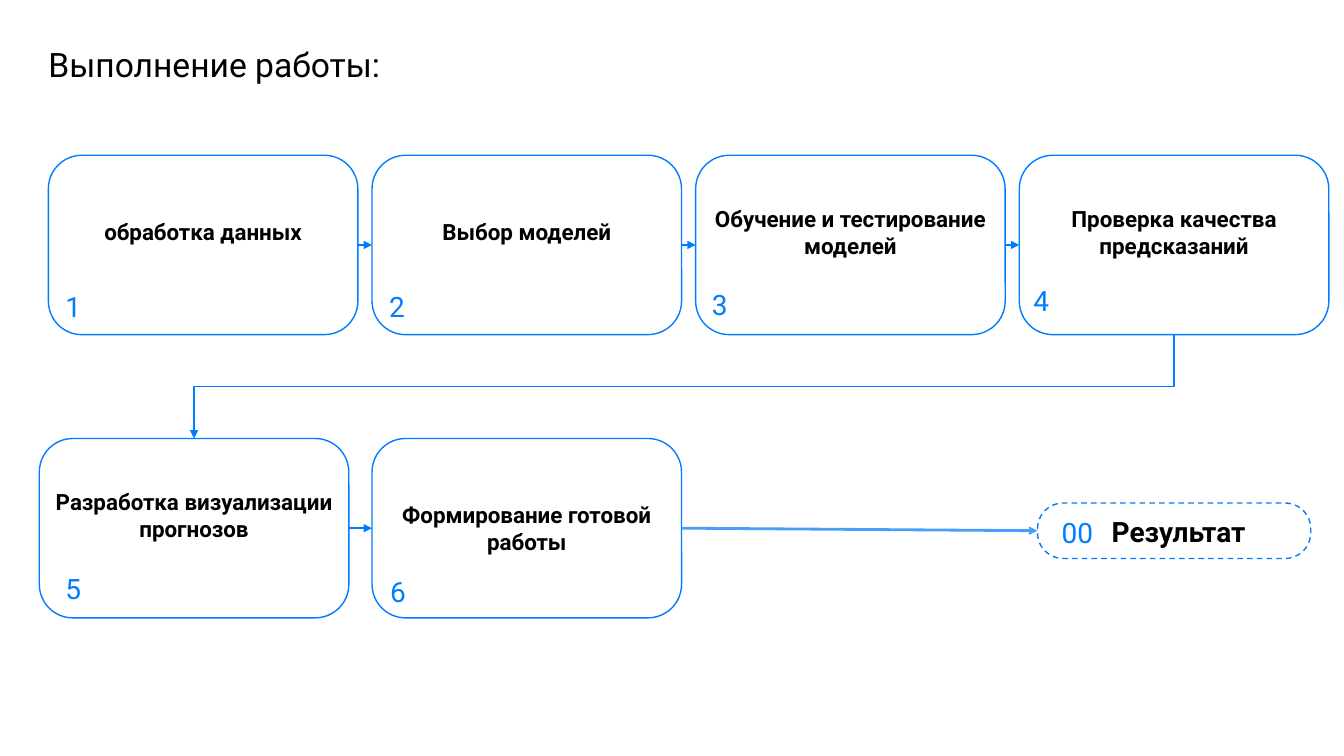
from lxml import etree
from pptx import Presentation
from pptx.dml.color import RGBColor
from pptx.enum.dml import MSO_LINE
from pptx.enum.shapes import MSO_CONNECTOR, MSO_SHAPE
from pptx.enum.text import MSO_ANCHOR, MSO_AUTO_SIZE, PP_ALIGN
from pptx.oxml.ns import qn
from pptx.util import Inches, Pt

BLUE = RGBColor(0x00, 0x7D, 0xFF)
LIGHT_BLUE = RGBColor(0x49, 0x9E, 0xFA)
BLACK = RGBColor(0, 0, 0)
WHITE = RGBColor(0xFF, 0xFF, 0xFF)
ROUNDED = MSO_SHAPE.ROUNDED_RECTANGLE
STRAIGHT, ELBOW = MSO_CONNECTOR.STRAIGHT, MSO_CONNECTOR.ELBOW
TOP, MIDDLE, BOTTOM = MSO_ANCHOR.TOP, MSO_ANCHOR.MIDDLE, MSO_ANCHOR.BOTTOM
LEFT, CENTER = PP_ALIGN.LEFT, PP_ALIGN.CENTER
GROW, DASH = MSO_AUTO_SIZE.SHAPE_TO_FIT_TEXT, MSO_LINE.DASH
TOP_SIDE, LEFT_SIDE, BOTTOM_SIDE, RIGHT_SIDE = range(4)

STEP_W, STEP_H = 3.07, 1.78
COLUMN_X, COLUMN_PITCH = 0.48, 3.21
ROW_1_Y, ROW_2_Y = 1.54, 4.35
LINE_16PT = 0.26

TITLE_FONT = {"size": Pt(24), "name": "Roboto"}
STEP_FONT = {"size": Pt(16), "name": "Roboto", "bold": True}
NUMBER_FONT = {"size": Pt(20), "name": "Roboto"}
RESULT_FONT = {"size": Pt(20), "name": "Roboto", "bold": True}

# Label, left, top, number offset (x, y) inside the box, space kept below the label
STEPS = [
    ("обработка данных", COLUMN_X, ROW_1_Y, 0.17, 1.33, LINE_16PT),
    ("Выбор моделей", COLUMN_X + COLUMN_PITCH, ROW_1_Y, 0.17, 1.33, LINE_16PT),
    ("Обучение и тестирование моделей", COLUMN_X + 2 * COLUMN_PITCH, ROW_1_Y,
     0.16, 1.31, LINE_16PT),
    ("Проверка качества предсказаний", COLUMN_X + 3 * COLUMN_PITCH, ROW_1_Y,
     0.14, 1.27, LINE_16PT),
    ("Разработка визуализации прогнозов", 0.39, ROW_2_Y, 0.26, 1.32, LINE_16PT),
    ("Формирование готовой работы", COLUMN_X + COLUMN_PITCH, ROW_2_Y, 0.18, 1.35, 0),
]


def write(shape, text, font, color, align=LEFT, anchor=TOP, bottom=0, spacing=None):
    frame = shape.text_frame
    layout = {"word_wrap": True, "vertical_anchor": anchor, "margin_left": 0,
              "margin_top": 0, "margin_right": 0, "margin_bottom": Inches(bottom)}
    for name, value in layout.items():
        setattr(frame, name, value)
    paragraph = frame.paragraphs[0]
    paragraph.alignment = align
    if spacing:
        paragraph.line_spacing = spacing
    run = paragraph.add_run()
    run.text = text
    for name, value in font.items():
        setattr(run.font, name, value)
    run.font.color.rgb = color


def add_label(slide, box, text, font, color, grow=True, **layout):
    label = slide.shapes.add_textbox(*map(Inches, box))
    write(label, text, font, color, **layout)
    if grow:
        label.text_frame.auto_size = GROW


def add_frame(slide, box, rounding):
    frame = slide.shapes.add_shape(ROUNDED, *map(Inches, box))
    frame.shadow.inherit = False
    frame.adjustments[0] = rounding
    frame.fill.solid()
    frame.fill.fore_color.rgb = WHITE
    frame.line.color.rgb = BLUE
    frame.line.width = Pt(1)
    return frame


def add_step(slide, number, label, left, top, number_x, number_y, bottom):
    step = add_frame(slide, (left, top, STEP_W, STEP_H), 0.187)
    write(step, label, STEP_FONT, BLACK, align=CENTER, anchor=MIDDLE, bottom=bottom)
    add_label(slide, (left + number_x, top + number_y, 0.47, 0.33),
              str(number), NUMBER_FONT, BLUE)
    return step


def add_result(slide, left, top, width, height):
    result = add_frame(slide, (left, top, width, height), 0.463)
    result.line.dash_style = DASH
    add_label(slide, (left + 0.24, top + 0.12, 0.47, 0.33), "00", NUMBER_FONT, BLUE)
    add_label(slide, (left + 0.47, top + 0.15, 1.86, 0.3), "Результат", RESULT_FONT,
              BLACK, align=CENTER, anchor=BOTTOM, spacing=0.9)
    return result


def add_arrow(slide, kind, start, start_side, end, end_side, color=BLUE, width=1):
    arrow = slide.shapes.add_connector(kind, 0, 0, 0, 0)
    arrow.begin_connect(start, start_side)
    arrow.end_connect(end, end_side)
    arrow.line.color.rgb = color
    arrow.line.width = Pt(width)
    properties = arrow._element.spPr
    etree.SubElement(properties.find(qn("a:ln")), qn("a:tailEnd"), type="triangle")
    etree.SubElement(properties, qn("a:effectLst"))
    return arrow


def add_row_break(slide, start, end):
    arrow = add_arrow(slide, ELBOW, start, BOTTOM_SIDE, end, TOP_SIDE)
    # A quarter turn makes the elbow leave downwards
    span, drop = arrow.width, arrow.height
    shift = (span - drop) // 2
    arrow.left, arrow.top = arrow.left + shift, arrow.top - shift
    arrow.width, arrow.height = drop, span
    transform = arrow._element.spPr.xfrm
    transform.flipH = False
    transform.set("rot", str(90 * 60000))


def main():
    deck = Presentation()
    deck.slide_width, deck.slide_height = Inches(13.33), Inches(7.5)
    slide = deck.slides.add_slide(deck.slide_layouts[6])

    # Title
    add_label(slide, (0.48, 0.48, 12.36, 0.71), "Выполнение работы:", TITLE_FONT,
              BLACK, grow=False, spacing=0.9)

    # Result and steps
    result = add_result(slide, 10.29, 4.99, 2.71, 0.55)
    steps = [add_step(slide, number, *step) for number, step in enumerate(STEPS, 1)]

    # Arrows
    for start, end in zip(steps, steps[1:]):
        if start.top == end.top:
            add_arrow(slide, STRAIGHT, start, RIGHT_SIDE, end, LEFT_SIDE)
        else:
            add_row_break(slide, start, end)
    add_arrow(slide, STRAIGHT, steps[-1], RIGHT_SIDE, result, LEFT_SIDE, LIGHT_BLUE, 2)

    deck.save("out.pptx")


if __name__ == "__main__":
    main()
